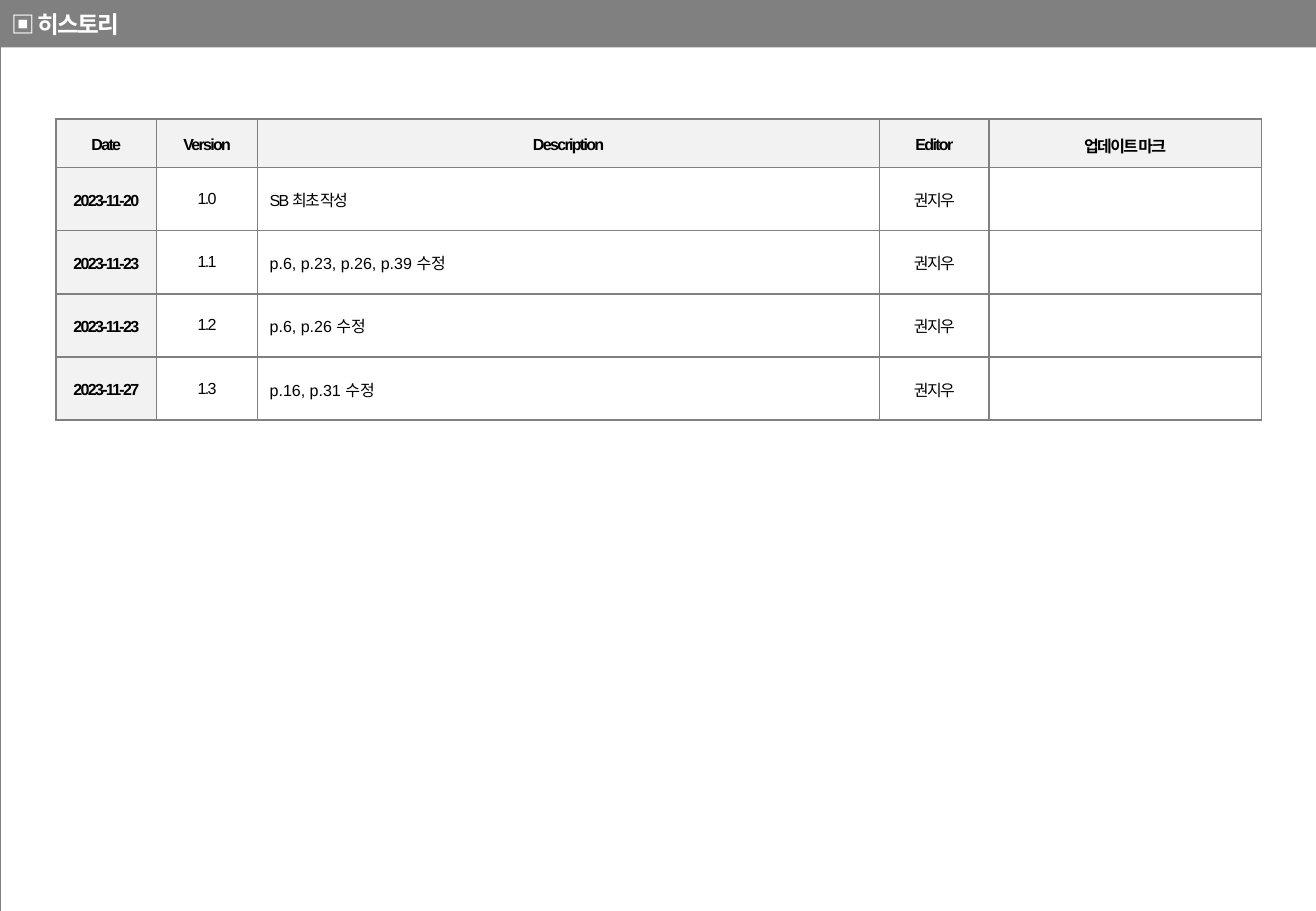
from dataclasses import dataclass

from lxml.etree import SubElement
from pptx import Presentation
from pptx.dml.color import RGBColor as Rgb
from pptx.enum.shapes import MSO_SHAPE as Shape
from pptx.enum.text import MSO_ANCHOR as Anchor, PP_ALIGN as Align
from pptx.oxml.ns import qn
from pptx.util import Inches, Pt


@dataclass(frozen=True)
class Theme:
    """Colours, fonts and type sizes of the slide."""
    grey: str = "808080"
    pale: str = "F2F2F2"
    white: str = "FFFFFF"
    black: str = "000000"
    latin: str = "Arial"
    korean: str = "Noto Sans CJK KR"
    title_size: float = 14
    body_size: float = 9.5


THEME = Theme()
HEADINGS = ["Date", "Version", "Description", "Editor", "업데이트 마크"]
REVISIONS = [
    ["2023-11-20", "1.0", "SB 최초 작성", "권지우", ""],
    ["2023-11-23", "1.1", "p.6, p.23, p.26, p.39 수정", "권지우", ""],
    ["2023-11-23", "1.2", "p.6, p.26 수정", "권지우", ""],
    ["2023-11-27", "1.3", "p.16, p.31 수정", "권지우", ""],
]


def write(frame, text, *, size, color, font, bold=False, align=Align.LEFT, leading=1.0, tracking=-1):
    """Write one formatted line into a text frame."""
    line = frame.paragraphs[0]
    line.alignment = align
    line.line_spacing = leading
    run = line.add_run()
    run.text = text
    run.font.size = Pt(size)
    run.font.bold = bold
    run.font.color.rgb = Rgb.from_string(color)
    run.font.name = font
    properties = run.font._element
    properties.set("spc", str(tracking * 100))
    SubElement(properties, qn("a:ea"), typeface=THEME.korean)


class Page:
    """Draws themed elements on one slide."""

    def __init__(self, slide, theme):
        """Keep the slide and its theme."""
        self.slide = slide
        self.theme = theme

    def title_bar(self, text, width, height):
        """Draw the bar with the page title."""
        bar = self.slide.shapes.add_shape(Shape.RECTANGLE, 0, 0, Inches(width), Inches(height))
        bar.shadow.inherit = False
        bar.fill.solid()
        bar.fill.fore_color.rgb = Rgb.from_string(self.theme.grey)
        bar.line.fill.background()
        bar.text_frame.vertical_anchor = Anchor.MIDDLE
        write(bar.text_frame, text, size=self.theme.title_size, color=self.theme.white,
              font=self.theme.korean, bold=True)

    def grid(self, left, top, widths, heights, border):
        """Add a plain bordered table and return it."""
        table = self.slide.shapes.add_table(
            len(heights), len(widths), Inches(left), Inches(top),
            Inches(sum(widths)), Inches(sum(heights))).table
        table.first_row = table.horz_banding = False
        for column, width in zip(table.columns, widths):
            column.width = Inches(width)
        for row, height in zip(table.rows, heights):
            row.height = Inches(height)
        for cell in table.iter_cells():
            self.outline(cell, border)
            cell.fill.background()
        return table

    def outline(self, cell, width):
        """Rule all four sides of a cell."""
        properties = cell._tc.get_or_add_tcPr()
        for side in ("lnL", "lnR", "lnT", "lnB"):
            rule = SubElement(properties, qn(f"a:{side}"), w=str(Pt(width)))
            paint = SubElement(rule, qn("a:solidFill"))
            SubElement(paint, qn("a:srgbClr"), val=self.theme.grey)

    def history(self, left, top, widths, heights, rows):
        """Draw the revision table with a shaded heading row and date column."""
        table = self.grid(left, top, widths, heights, border=1)
        for r, row in enumerate(rows):
            for c, text in enumerate(row):
                cell = table.cell(r, c)
                label = r == 0 or c == 0
                description = r > 0 and HEADINGS[c] == "Description"
                cell.fill.solid()
                cell.fill.fore_color.rgb = Rgb.from_string(self.theme.pale if label else self.theme.white)
                cell.vertical_anchor = Anchor.MIDDLE
                cell.margin_bottom = Inches(0.05 if label else 0.08)
                if text:
                    write(cell.text_frame, text, size=self.theme.body_size, color=self.theme.black,
                          font=self.theme.latin, bold=label, leading=1.2,
                          align=Align.LEFT if description else Align.CENTER,
                          tracking=0 if description and text.startswith("p.") else -1)


def main():
    """Build and save the history slide."""
    deck = Presentation()
    deck.slide_width, deck.slide_height = Inches(10.83), Inches(7.5)
    page = Page(deck.slides.add_slide(deck.slide_layouts[6]), THEME)
    page.grid(0, 0, [10.84], [7.51], border=0.25)
    page.title_bar("▣ 히스토리", 10.83, 0.39)
    page.history(0.46, 0.98, [0.83, 0.83, 5.12, 0.9, 2.24],
                 [0.4] + [0.52] * len(REVISIONS), [HEADINGS] + REVISIONS)
    deck.save("out.pptx")


if __name__ == "__main__":
    main()
